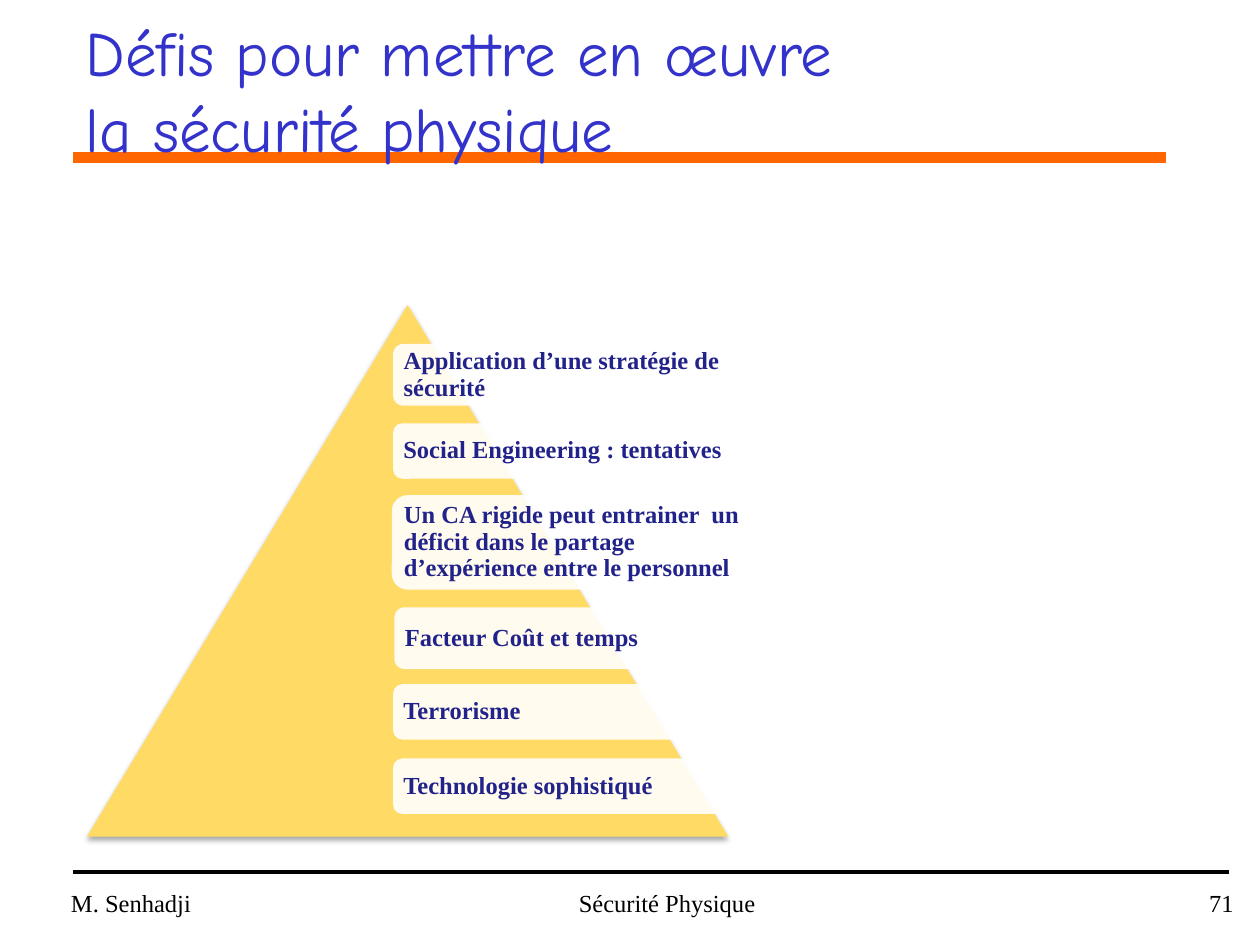
from dataclasses import dataclass

from lxml.etree import SubElement
from pptx import Presentation
from pptx.dml.color import RGBColor
from pptx.enum.shapes import MSO_CONNECTOR, MSO_SHAPE
from pptx.enum.text import MSO_ANCHOR, MSO_AUTO_SIZE, PP_ALIGN
from pptx.oxml.ns import qn
from pptx.slide import Slide
from pptx.util import Inches, Pt


@dataclass(frozen=True)
class Theme:
    title_font: str = "Comic Neue"
    body_font: str = "Times New Roman"
    title_size: int = 36
    body_size: int = 14
    title_color: str = "3333CC"
    label_color: str = "22228B"
    ink: str = "000000"
    accent: str = "FF6600"
    pyramid: str = "FFDA65"
    panel: str = "FFFFFF"


@dataclass(frozen=True)
class Rule:
    left: float
    right: float
    y: float
    color: str
    weight: float


@dataclass(frozen=True)
class FooterItem:
    text: str
    left: float
    width: float
    alignment: PP_ALIGN


@dataclass(frozen=True)
class Challenge:
    text: str
    left: float
    top: float
    width: float
    height: float


THEME = Theme()

RULES = [
    Rule(0.58, 9.25, 1.25, THEME.accent, 6),
    Rule(0.58, 9.75, 6.92, THEME.ink, 2.25),
]

FOOTER = [
    FooterItem("M. Senhadji", 0, 2.08, PP_ALIGN.CENTER),
    FooterItem("Sécurité Physique", 3.71, 3.17, PP_ALIGN.CENTER),
    FooterItem("71", 8.59, 1.3, PP_ALIGN.RIGHT),
]

TITLE_LINES = ["Défis pour mettre en œuvre ", "la sécurité physique"]

CHALLENGES = [
    Challenge("Application d’une stratégie de sécurité", 3.12, 2.73, 2.97, 0.49),
    Challenge("Social Engineering : tentatives", 3.12, 3.36, 2.97, 0.44),
    Challenge(
        "Un CA rigide peut entrainer  un déficit dans le partage "
        "d’expérience entre le personnel", 3.11, 3.93, 3, 0.75),
    Challenge("Facteur Coût et temps", 3.13, 4.82, 2.94, 0.49),
    Challenge("Terrorisme", 3.12, 5.43, 2.96, 0.44),
    Challenge("Technologie sophistiqué", 3.12, 6.02, 2.96, 0.44),
]


def style_font(font, family: str, size: int, color: str, bold: bool = False) -> None:
    font.name = family
    font.size = Pt(size)
    font.bold = bold
    font.color.rgb = RGBColor.from_string(color)


def fill_plain(shape, color: str) -> None:
    shape.fill.solid()
    shape.fill.fore_color.rgb = RGBColor.from_string(color)
    shape.line.fill.background()
    shape.shadow.inherit = False


def draw_rule(slide: Slide, rule: Rule) -> None:
    connector = slide.shapes.add_connector(
        MSO_CONNECTOR.STRAIGHT,
        Inches(rule.left), Inches(rule.y), Inches(rule.right), Inches(rule.y))
    connector.line.color.rgb = RGBColor.from_string(rule.color)
    connector.line.width = Pt(rule.weight)
    SubElement(connector._element.spPr, qn("a:effectLst"))


def draw_footer_item(slide: Slide, item: FooterItem) -> None:
    box = slide.shapes.add_textbox(
        Inches(item.left), Inches(7), Inches(item.width), Inches(0.5))
    box.text_frame.word_wrap = True
    paragraph = box.text_frame.paragraphs[0]
    paragraph.text = item.text
    paragraph.alignment = item.alignment
    style_font(paragraph.font, THEME.body_font, THEME.body_size, THEME.ink)


def write_title(slide: Slide) -> None:
    title = slide.shapes.title
    title.left, title.top = Inches(0.58), Inches(0.25)
    title.width, title.height = Inches(8.5), Inches(0.92)
    frame = title.text_frame
    frame.word_wrap = True
    frame.auto_size = MSO_AUTO_SIZE.NONE
    frame.vertical_anchor = MSO_ANCHOR.MIDDLE
    paragraph = frame.paragraphs[0]
    paragraph.alignment = PP_ALIGN.LEFT
    first, second = TITLE_LINES
    paragraph.add_run().text = first
    paragraph.add_line_break()
    paragraph.add_run().text = second
    style_font(paragraph.font, THEME.title_font, THEME.title_size, THEME.title_color)
    slide.shapes._spTree.append(title._element)


def draw_pyramid(slide: Slide) -> None:
    pyramid = slide.shapes.add_shape(
        MSO_SHAPE.ISOSCELES_TRIANGLE,
        Inches(0.69), Inches(2.42), Inches(5.09), Inches(4.22))
    fill_plain(pyramid, THEME.pyramid)
    effects = pyramid._element.spPr.find(qn("a:effectLst"))
    shadow = SubElement(
        effects, qn("a:outerShdw"), blurRad=str(Pt(3.1)), dist=str(Pt(1.8)),
        dir=str(90 * 60000), rotWithShape="0")
    shade = SubElement(shadow, qn("a:srgbClr"), val=THEME.ink)
    SubElement(shade, qn("a:alpha"), val="35000")


def draw_challenge(slide: Slide, challenge: Challenge) -> None:
    panel = slide.shapes.add_shape(
        MSO_SHAPE.ROUNDED_RECTANGLE,
        Inches(challenge.left), Inches(challenge.top),
        Inches(challenge.width), Inches(challenge.height))
    fill_plain(panel, THEME.panel)
    tint = panel._element.spPr.find(qn("a:solidFill")).find(qn("a:srgbClr"))
    SubElement(tint, qn("a:alpha"), val="90000")
    frame = panel.text_frame
    frame.word_wrap = True
    frame.vertical_anchor = MSO_ANCHOR.MIDDLE
    frame.margin_left = frame.margin_right = Inches(0.06)
    frame.margin_top = frame.margin_bottom = Inches(0.06)
    paragraph = frame.paragraphs[0]
    paragraph.text = challenge.text
    paragraph.alignment = PP_ALIGN.LEFT
    paragraph.line_spacing = 0.9
    style_font(paragraph.font, THEME.body_font, THEME.body_size, THEME.label_color, True)


def main() -> None:
    presentation = Presentation()
    presentation.slide_width = Inches(10)
    presentation.slide_height = Inches(7.5)
    slide = presentation.slides.add_slide(presentation.slide_layouts[5])
    for rule in RULES:
        draw_rule(slide, rule)
    for item in FOOTER:
        draw_footer_item(slide, item)
    write_title(slide)
    draw_pyramid(slide)
    for challenge in CHALLENGES:
        draw_challenge(slide, challenge)
    presentation.save("out.pptx")


if __name__ == "__main__":
    main()
